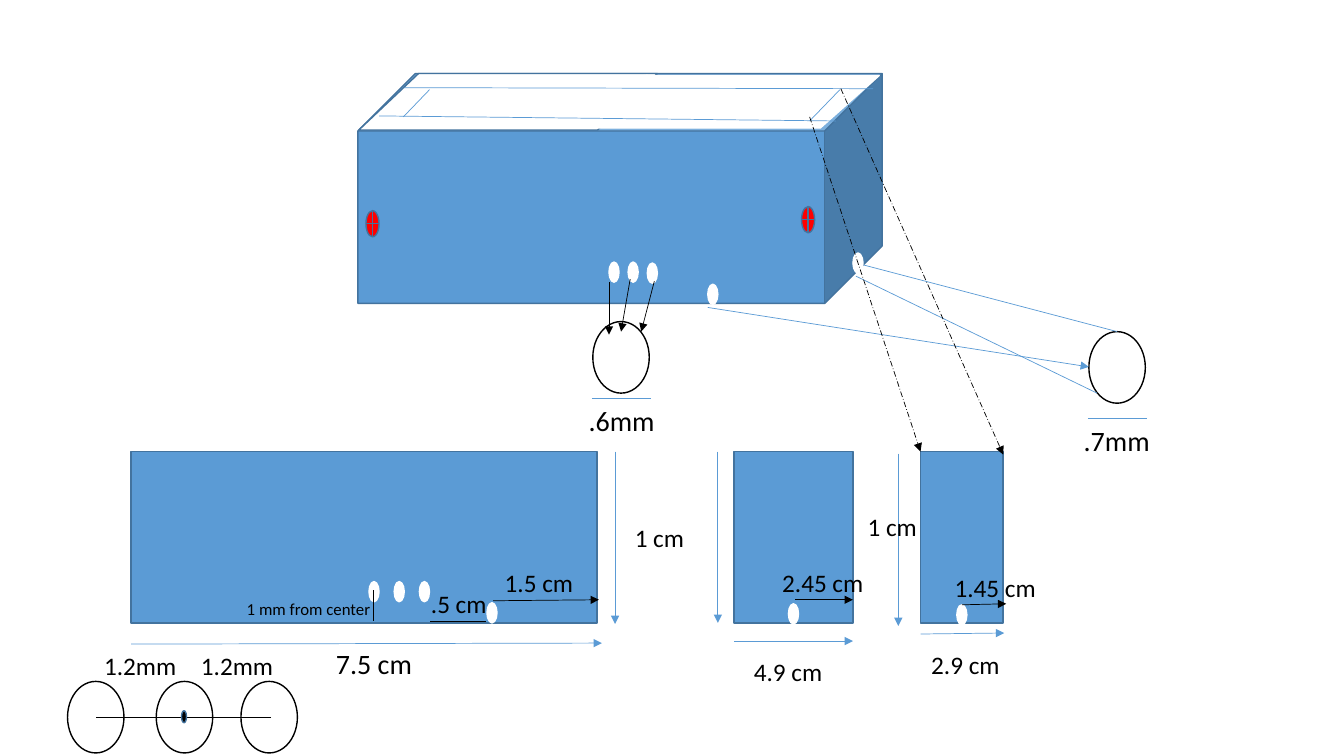
from pptx import Presentation
from pptx.dml.color import RGBColor
from pptx.enum.dml import MSO_LINE_DASH_STYLE as Dash
from pptx.enum.shapes import MSO_CONNECTOR as Connector, MSO_SHAPE as Shape
from pptx.enum.text import MSO_AUTO_SIZE as AutoSize, PP_ALIGN as Align
from pptx.oxml.ns import qn
from pptx.util import Inches, Pt
from lxml.etree import SubElement

BLUE = RGBColor(0x5B, 0x9B, 0xD5)
EDGE = RGBColor(0x43, 0x73, 0x9E)
WHITE = RGBColor(0xFF, 0xFF, 0xFF)
BLACK = RGBColor(0, 0, 0)
RED = RGBColor(0xFF, 0, 0)
FONT = "Calibri"

# Block and its views: left, top, width, height
BLOCK = (3.55, 0.73, 5.2, 2.28)
VIEWS = [(1.3, 4.48, 4.62, 1.7), (7.28, 4.48, 1.18, 1.7), (9.13, 4.48, 0.82, 1.7)]
LIDS = [((3.56, 0.73, 2.96, 0.56), EDGE), ((5.8, 0.75, 2.92, 0.52), WHITE)]

# Round parts: left, top
HOLE_SIZE = (0.1, 0.2)
HOLES = [(8.46, 2.51), (7.02, 2.82), (6.42, 2.61), (6.23, 2.6), (6.04, 2.6),
         (4.83, 5.98), (4.16, 5.77), (3.91, 5.77), (3.66, 5.77),
         (7.82, 5.99), (9.49, 6)]
RING_SIZE = (0.56, 0.71)
RINGS = [(10.8, 3.29), (5.88, 3.19), (0.67, 6.76), (1.55, 6.76), (2.39, 6.76)]
SCREW_SIZE = (0.13, 0.26)
SCREWS = [(7.95, 2.05), (3.63, 2.09)]
CENTER_DOT = (1.8, 7.05, 0.05, 0.12)

# Lines: x1, y1, x2, y2
LID_SEAM = [(6.42, 0.74, 5.81, 1.27)]
LID_WINDOW = [(4.26, 0.89, 4, 1.16), (4.01, 0.87, 8.66, 0.88),
              (3.76, 1.15, 8.29, 1.2), (8.33, 0.89, 8.03, 1.2)]
HOLE_LEADERS = [(8.57, 2.63, 11.08, 3.29), (8.49, 2.74, 10.88, 3.9)]
RING_WIDTHS = [(10.79, 4.15, 11.38, 4.15), (5.87, 3.95, 6.46, 3.95)]
SIZE_ARROWS = [(1.3, 6.39, 5.97, 6.38), (6.1, 4.48, 6.1, 6.19),
               (7.28, 6.36, 8.46, 6.36), (7.12, 4.48, 7.12, 6.18),
               (9.13, 6.29, 9.96, 6.28), (8.91, 4.5, 8.91, 6.21)]
SIDE_HOLE_ARROW = [(7.02, 3.05, 10.8, 3.64)]
SPACINGS = [(2.69, 7.12, 1.83, 7.12), (1.82, 7.12, 0.95, 7.12),
            (4.82, 6.16, 4.26, 6.16), (3.7, 6.16, 3.7, 5.85)]
OFFSET_ARROWS = [(4.89, 5.96, 5.94, 5.95), (7.89, 5.95, 8.46, 5.95),
                 (9.54, 6, 9.98, 5.99)]
HOLE_ARROWS = [(6.49, 2.79, 6.36, 3.29), (6.04, 2.8, 6.04, 3.32),
               (6.25, 2.77, 6.16, 3.29)]
WINDOW_ARROWS = [(8.03, 1.16, 9.13, 4.48), (8.34, 0.88, 9.95, 4.51)]

# Line groups: lines, colour, arrowhead, dash
LINE_GROUPS = [
    (LID_SEAM, WHITE, False, None),
    (LID_WINDOW + HOLE_LEADERS + RING_WIDTHS, BLUE, False, None),
    (SIZE_ARROWS + SIDE_HOLE_ARROW, BLUE, True, None),
    (SPACINGS, BLACK, False, None),
    (OFFSET_ARROWS + HOLE_ARROWS, BLACK, True, None),
    (WINDOW_ARROWS, BLACK, True, Dash.LONG_DASH_DOT),
]

# Labels: text, left, top, width, point size
LABELS = [
    (".7mm", 10.58, 4.15, 0.99, 20), (".6mm", 5.67, 3.95, 0.99, 20),
    ("7.5 cm", 3.23, 6.36, 0.96, 20), ("1 cm", 6.19, 5.13, 0.7, 18),
    ("1.5 cm", 4.9, 5.58, 0.89, 18), ("1.2mm", 1.89, 6.4, 0.92, 18),
    ("1.2mm", 0.93, 6.4, 0.92, 18), (".5 cm", 4.17, 5.79, 0.76, 18),
    ("4.9 cm", 7.37, 6.46, 0.89, 18), ("2.45 cm", 7.65, 5.58, 1.02, 18),
    ("1 mm from center", 2.34, 5.89, 1.44, 12), ("2.9 cm", 9.13, 6.39, 0.89, 18),
    ("1.45 cm", 9.36, 5.63, 1.02, 18), ("1 cm", 8.5, 5.02, 0.7, 18),
]
LABEL_HEIGHTS = {20: 0.44, 18: 0.4, 12: 0.3}

presentation = Presentation()
presentation.slide_width = Inches(13.33)
presentation.slide_height = Inches(7.5)
slide = presentation.slides.add_slide(presentation.slide_layouts[6])


def add_part(kind, box, fill, edge):
    shape = slide.shapes.add_shape(kind, *map(Inches, box))
    shape.shadow.inherit = False
    shape.fill.solid()
    shape.fill.fore_color.rgb = fill
    shape.line.color.rgb = edge
    shape.line.width = Pt(1)


def add_line(ends, color, arrow, dash):
    connector = slide.shapes.add_connector(Connector.STRAIGHT, *map(Inches, ends))
    connector.line.color.rgb = color
    connector.line.width = Pt(0.5)
    if dash:
        connector.line.dash_style = dash
    if arrow:
        SubElement(connector.line._get_or_add_ln(), qn("a:tailEnd"), type="triangle")
    SubElement(connector._element.spPr, qn("a:effectLst"))


def add_label(text, left, top, width, size):
    box = (left, top, width, LABEL_HEIGHTS[size])
    frame = slide.shapes.add_textbox(*map(Inches, box)).text_frame
    frame.word_wrap = text.startswith(".") and size == 20
    frame.auto_size = AutoSize.SHAPE_TO_FIT_TEXT
    paragraph = frame.paragraphs[0]
    paragraph.alignment = Align.CENTER
    run = paragraph.add_run()
    run.text = text
    run.font.name = FONT
    run.font.size = Pt(size)
    run.font.color.rgb = BLACK


# Block, views and lid
for view in VIEWS:
    add_part(Shape.RECTANGLE, view, BLUE, EDGE)
add_part(Shape.CUBE, BLOCK, BLUE, EDGE)
for lid, edge in LIDS:
    add_part(Shape.FLOWCHART_DATA, lid, WHITE, edge)

# Holes, enlarged rings and screws
for kind, places, size, fill, edge in [
    (Shape.FLOWCHART_CONNECTOR, HOLES, HOLE_SIZE, WHITE, WHITE),
    (Shape.FLOWCHART_CONNECTOR, RINGS, RING_SIZE, WHITE, BLACK),
    (Shape.FLOWCHART_OR, SCREWS, SCREW_SIZE, RED, EDGE),
]:
    for place in places:
        add_part(kind, place + size, fill, edge)

# Lines, then the dot on the spacing line
for lines, color, arrow, dash in LINE_GROUPS:
    for ends in lines:
        add_line(ends, color, arrow, dash)
add_part(Shape.FLOWCHART_CONNECTOR, CENTER_DOT, BLACK, EDGE)

# Measurements
for label in LABELS:
    add_label(*label)

presentation.save("out.pptx")
